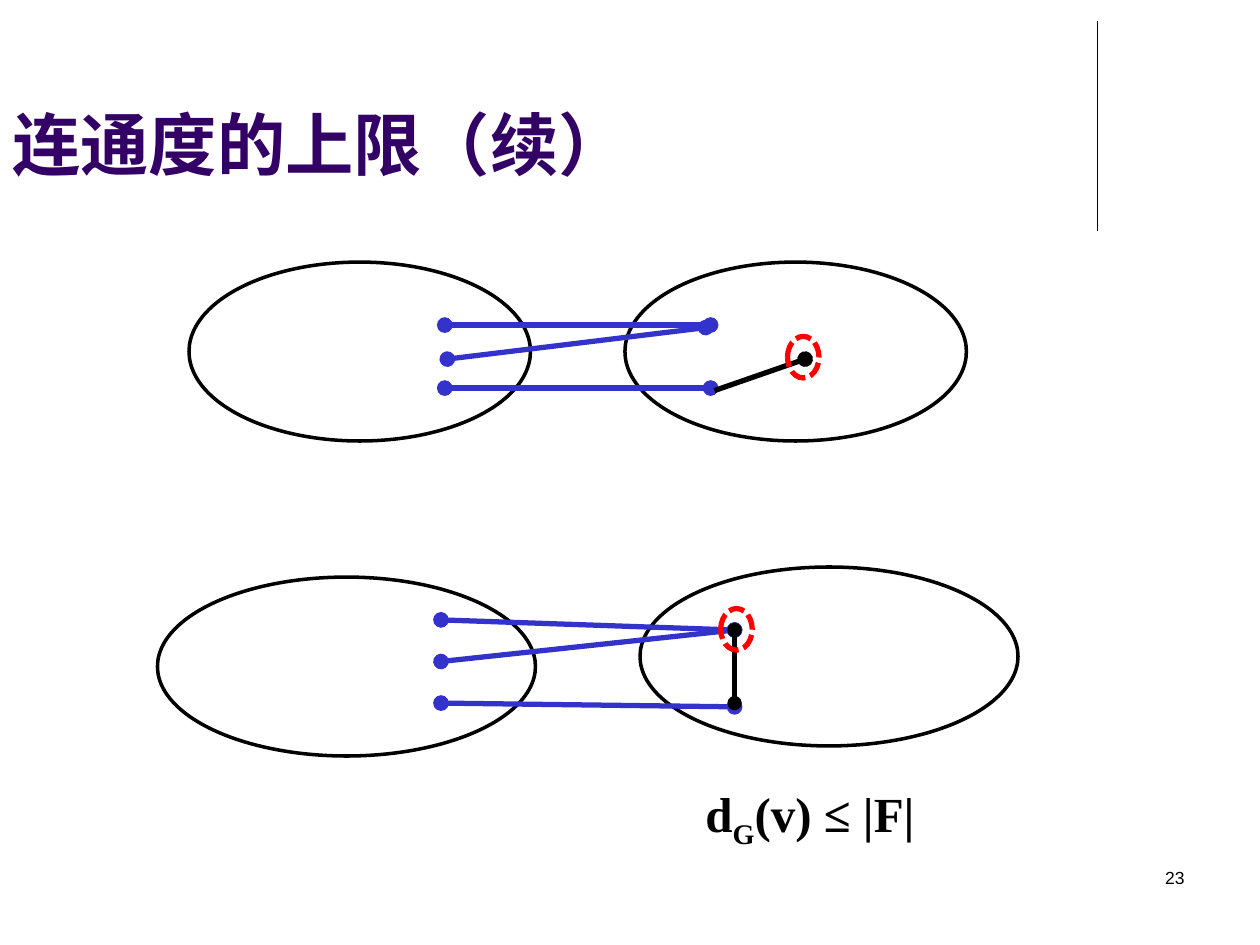
from lxml import etree
from pptx import Presentation
from pptx.dml.color import RGBColor
from pptx.enum import dml, shapes, text
from pptx.oxml import ns
from pptx.util import Inches, Pt

BLACK, BLUE, RED, PURPLE = "000000", "3333CC", "FF0000", "330066"

TITLE = [("连通度的上限（续）", 0)]
PAGE_NUMBER = [("23", 0)]
DEGREE_BOUND = [("d", 0), ("G", -25000), ("(v) ≤ |F|", 0)]

VERTEX_SETS = [
    (1.5, 2.08, 2.71, 1.42),
    (4.96, 2.08, 2.71, 1.42),
    (1.25, 4.58, 3, 1.42),
    (5.08, 4.5, 3, 1.42),
]
CUT_EDGES = [
    (3.53, 2.58, 5.64, 2.58),
    (3.55, 2.85, 5.6, 2.6),
    (3.53, 3.08, 5.64, 3.08),
    (3.5, 4.92, 5.83, 5),
    (3.5, 5.25, 5.83, 5),
    (3.5, 5.58, 5.83, 5.61),
]
INNER_EDGES = [
    ((5.67, 3.1, 6.39, 2.85), 3, ["tailEnd"]),
    ((5.83, 5, 5.83, 5.58), 2.75, ["headEnd", "tailEnd"]),
]
CHOSEN_VERTICES = [(6.25, 2.67, 0.25, 0.33), (5.72, 4.83, 0.25, 0.33)]


def color(hex_value):
    return RGBColor.from_string(hex_value)


def add_line(slide, ends, hex_value, width, dots=()):
    line = slide.shapes.add_connector(
        shapes.MSO_CONNECTOR.STRAIGHT, *map(Inches, ends))
    line.line.color.rgb = color(hex_value)
    line.line.width = Pt(width)
    for dot in dots:
        etree.SubElement(line.line._get_or_add_ln(), ns.qn("a:" + dot), type="oval")
    etree.SubElement(line._element.spPr, ns.qn("a:effectLst"))


def add_ellipse(slide, box, hex_value, width, dash=None):
    ellipse = slide.shapes.add_shape(shapes.MSO_SHAPE.OVAL, *map(Inches, box))
    ellipse.shadow.inherit = False
    ellipse.fill.background()
    ellipse.line.color.rgb = color(hex_value)
    ellipse.line.width = Pt(width)
    if dash:
        ellipse.line.dash_style = dash


def add_text(slide, box, parts, size, font, hex_value, bold=False,
             align=text.PP_ALIGN.LEFT, anchor=text.MSO_ANCHOR.TOP):
    frame = slide.shapes.add_textbox(*map(Inches, box)).text_frame
    frame.word_wrap = True
    frame.vertical_anchor = anchor
    paragraph = frame.paragraphs[0]
    paragraph.alignment = align
    for words, baseline in parts:
        run = paragraph.add_run()
        run.text = words
        run.font.size = Pt(size)
        run.font.name = font
        run.font.bold = bold
        run.font.color.rgb = color(hex_value)
        if baseline:
            run._r.get_or_add_rPr().set("baseline", str(baseline))


def main():
    deck = Presentation()
    deck.slide_width, deck.slide_height = Inches(10), Inches(7.5)
    slide = deck.slides.add_slide(deck.slide_layouts[6])

    add_line(slide, (8.71, 0.17, 8.71, 1.83), BLACK, 0.75)
    add_text(slide, (7.17, 6.83, 2.33, 0.5), PAGE_NUMBER, 10, "Arial", BLACK,
             align=text.PP_ALIGN.RIGHT)
    add_text(slide, (0, 0.76, 7.17, 0.75), TITLE, 39, "Arial", PURPLE, True,
             anchor=text.MSO_ANCHOR.BOTTOM)

    for box in VERTEX_SETS:
        add_ellipse(slide, box, BLACK, 2)
    for ends in CUT_EDGES:
        add_line(slide, ends, BLUE, 3, ["headEnd", "tailEnd"])
    for ends, width, dots in INNER_EDGES:
        add_line(slide, ends, BLACK, width, dots)
    add_text(slide, (5.5, 6.17, 2.17, 0.57), DEGREE_BOUND, 28,
             "Times New Roman", BLACK, True)
    for box in CHOSEN_VERTICES:
        add_ellipse(slide, box, RED, 3, dml.MSO_LINE.SQUARE_DOT)

    deck.save("out.pptx")


if __name__ == "__main__":
    main()
